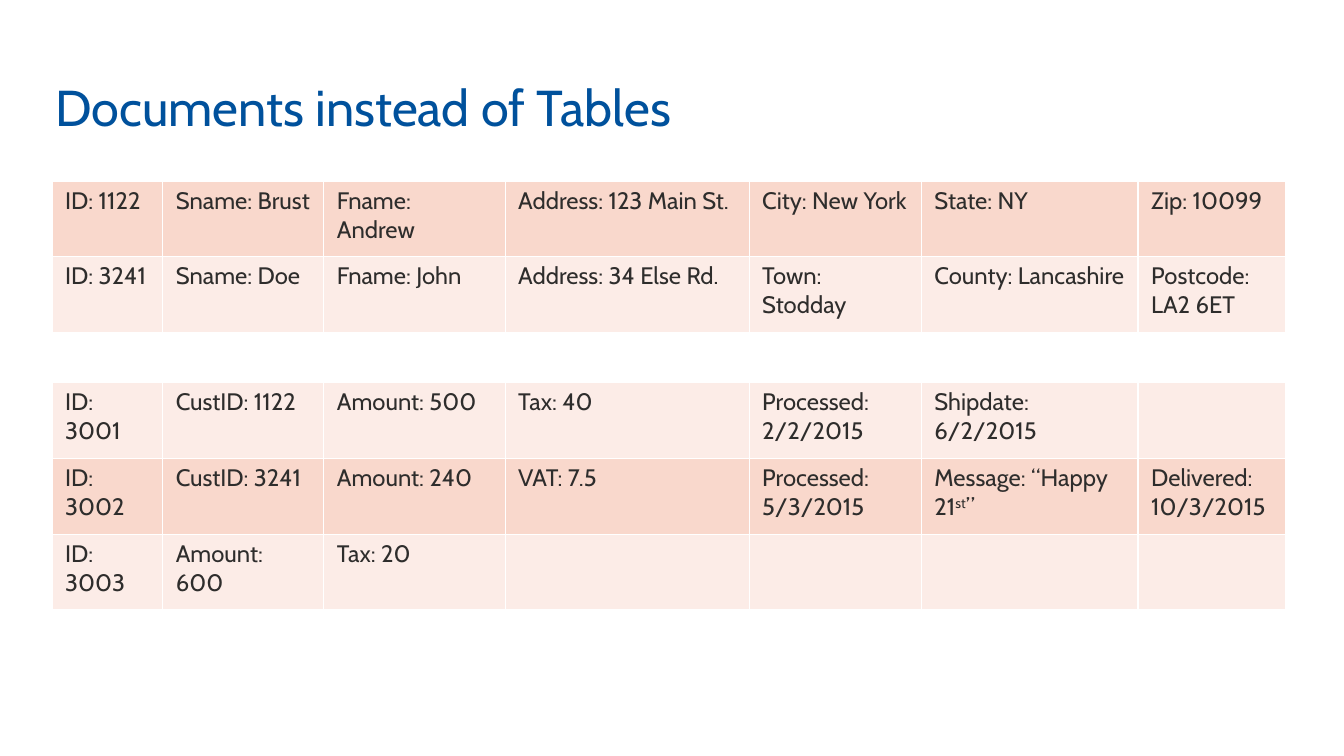
from lxml import etree
from pptx import Presentation
from pptx.dml.color import RGBColor
from pptx.enum.text import MSO_ANCHOR, PP_ALIGN
from pptx.oxml.ns import qn
from pptx.util import Cm, Pt

BOTTOM, LEFT = MSO_ANCHOR.BOTTOM, PP_ALIGN.LEFT

# Content: a tuple holds text, superscript, text
TITLE = "Documents instead of Tables"
CUSTOMERS = [
    ["ID: 1122", "Sname: Brust", "Fname: Andrew", "Address: 123 Main St.",
     "City: New York", "State: NY", "Zip: 10099"],
    ["ID: 3241", "Sname: Doe", "Fname: John", "Address: 34 Else Rd.",
     "Town: Stodday", "County: Lancashire", "Postcode: LA2 6ET"],
]
ORDERS = [
    ["ID: 3001", "CustID: 1122", "Amount: 500", "Tax: 40",
     "Processed: 2/2/2015", "Shipdate: 6/2/2015"],
    ["ID: 3002", "CustID: 3241", "Amount: 240", "VAT: 7.5",
     "Processed: 5/3/2015", ("Message: “Happy 21", "st", "”"),
     "Delivered: 10/3/2015"],
    ["ID: 3003", "Amount: 600", "Tax: 20"],
]
ROWS = CUSTOMERS + [[]] + ORDERS

# Format
FONT = "Cabin"
COLORS = {"title": "00519C", "text": "2E2D2C", "dark": "F9D8CC",
          "light": "FCECE7", "white": "FFFFFF"}
COL_WIDTHS = [2.79, 4.06, 4.57, 6.15, 4.34, 5.46, 3.71]
ROW_HEIGHT, GAP_HEIGHT = 1.91, 1.26


def write(tf, text, size, color):
    p = tf.paragraphs[0]
    p.alignment = LEFT
    parts = (text,) if isinstance(text, str) else text
    for i, part in enumerate(parts):
        r = p.add_run()
        r.text = part
        r.font.name = FONT
        r.font.size = Pt(size)
        r.font.color.rgb = RGBColor.from_string(COLORS[color])
        if i == 1:
            r.font._element.set("baseline", "30000")


def add_borders(cell):
    tcPr = cell._tc.get_or_add_tcPr()
    for side in ("lnL", "lnR", "lnT", "lnB"):
        ln = etree.SubElement(tcPr, qn("a:" + side), w=str(Pt(0.96)))
        fill = etree.SubElement(ln, qn("a:solidFill"))
        etree.SubElement(fill, qn("a:srgbClr"), val=COLORS["white"])


prs = Presentation()
prs.slide_width, prs.slide_height = Cm(33.87), Cm(19.05)
s = prs.slides.add_slide(prs.slide_layouts[5])

# Title
title = s.shapes.title
title.left, title.top, title.width, title.height = Cm(1.14), Cm(0.36), Cm(25.35), Cm(3.2)
title.text_frame.vertical_anchor = BOTTOM
write(title.text_frame, TITLE, 36, "title")

# Table
height = ROW_HEIGHT * (len(ROWS) - 1) + GAP_HEIGHT
table = s.shapes.add_table(len(ROWS), len(COL_WIDTHS), Cm(1.31), Cm(4.56),
                           Cm(sum(COL_WIDTHS)), Cm(height)).table
table.first_row = table.horz_banding = False
for col, width in zip(table.columns, COL_WIDTHS):
    col.width = Cm(width)

# Rows: bands alternate, and the empty row parts the two groups
for i, values in enumerate(ROWS):
    table.rows[i].height = Cm(ROW_HEIGHT if values else GAP_HEIGHT)
    band = ("dark" if i % 4 == 0 else "light") if values else "white"
    for j in range(len(COL_WIDTHS)):
        cell = table.cell(i, j)
        add_borders(cell)
        cell.fill.solid()
        cell.fill.fore_color.rgb = RGBColor.from_string(COLORS[band])
        cell.margin_left = cell.margin_right = Cm(0.33)
        cell.margin_top = cell.margin_bottom = Cm(0.13)
        if j < len(values):
            write(cell.text_frame, values[j], 17, "text")

prs.save("out.pptx")
